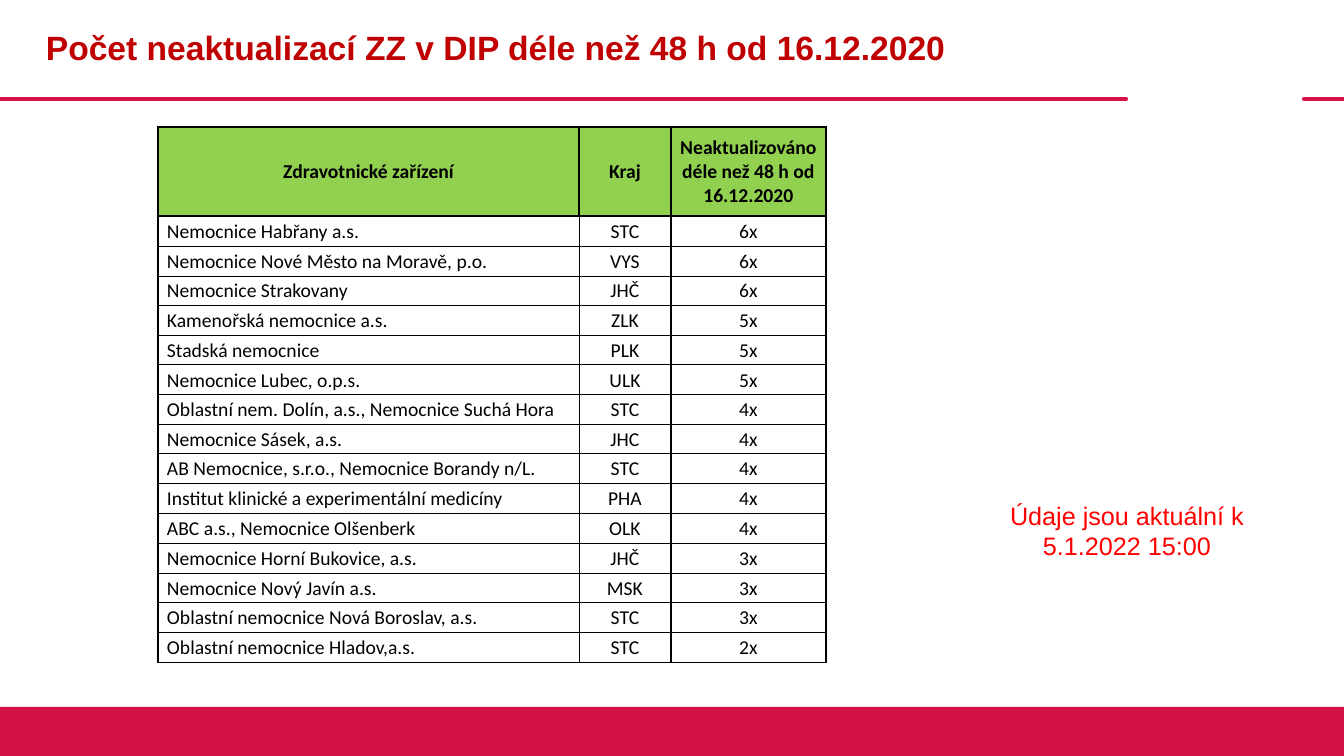
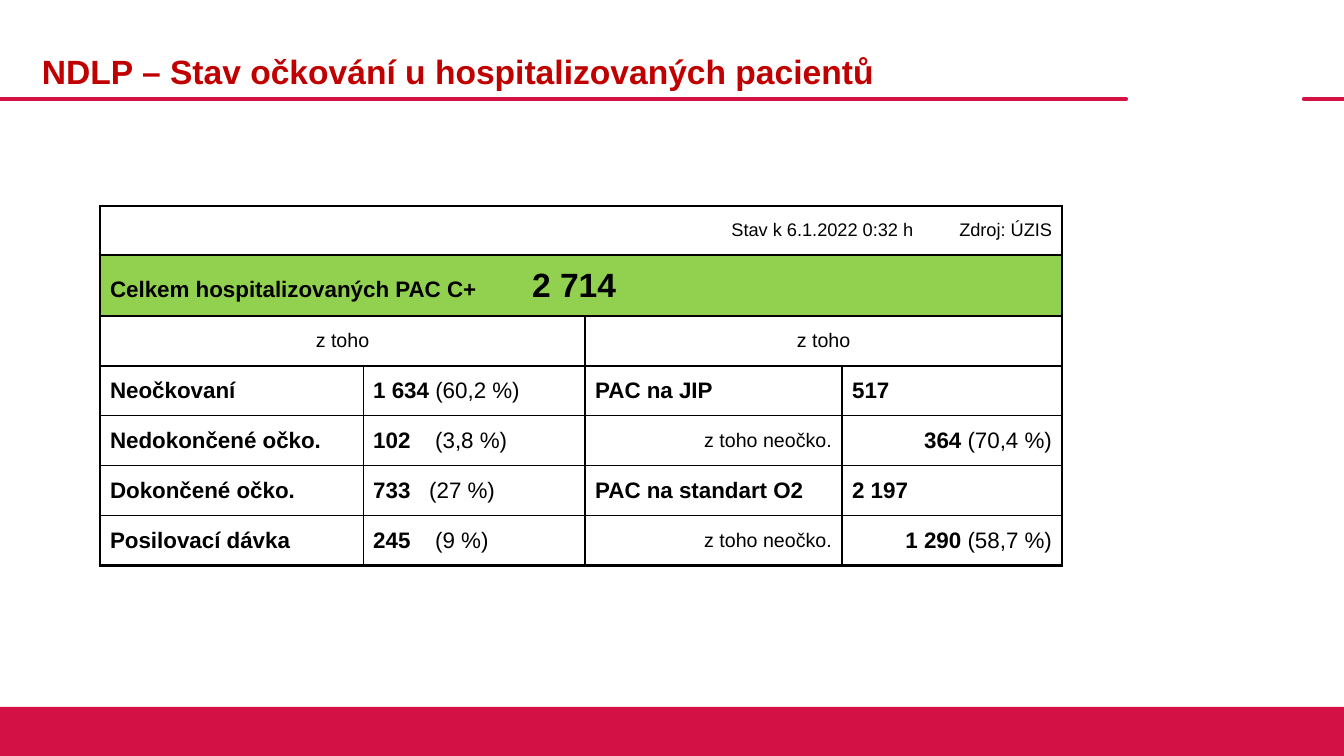
import dataclasses

import lxml.etree
import pptx
import pptx.dml.color
import pptx.enum.shapes
import pptx.enum.text
import pptx.oxml.ns
import pptx.util

PX = 914400 / 100.8
ALIGN = pptx.enum.text.PP_ALIGN
MIDDLE = pptx.enum.text.MSO_ANCHOR.MIDDLE
qn = pptx.oxml.ns.qn


@dataclasses.dataclass(frozen=True)
class Theme:
    band: str = "D31145"
    title: str = "C00000"
    note: str = "FF0000"
    ink: str = "000000"
    header: str = "92D050"
    font: str = "Arial"
    list_font: str = "Calibri"
    title_size: int = 24
    note_size: int = 18
    large: int = 16
    small: int = 14
    source_size: int = 13
    rule: float = 3
    hair: float = 0.5
    thin: float = 1
    thick: float = 2.25


theme = Theme()


def write(frame, runs, color, align=ALIGN.LEFT, font=theme.font, tab=0):
    """Fill the first paragraph with (text, size, bold) runs."""
    frame.word_wrap = True
    paragraph = frame.paragraphs[0]
    paragraph.alignment = align
    if tab:
        stops = lxml.etree.SubElement(paragraph._p.get_or_add_pPr(), qn("a:tabLst"))
        lxml.etree.SubElement(stops, qn("a:tab"), pos=str(round(tab * PX)), algn="l")
    for text, size, bold in runs:
        run = paragraph.add_run()
        run.text = text
        run.font.name = font
        run.font.size = pptx.util.Pt(size)
        run.font.bold = bold
        run.font.color.rgb = pptx.dml.color.RGBColor.from_string(color)
    return paragraph


def style_cell(cell, fill, left, right, top, bottom):
    """Set the fill and the border widths; a width of 0 means no line."""
    cell.vertical_anchor = MIDDLE
    if fill:
        cell.fill.solid()
        cell.fill.fore_color.rgb = pptx.dml.color.RGBColor.from_string(fill)
    else:
        cell.fill.background()
    properties = cell._tc.get_or_add_tcPr()
    sides = (("a:lnL", left), ("a:lnR", right), ("a:lnT", top), ("a:lnB", bottom))
    for position, (tag, width) in enumerate(sides):
        line = lxml.etree.Element(qn(tag), w=str(pptx.util.Pt(width)))
        if width:
            solid = lxml.etree.SubElement(line, qn("a:solidFill"))
            lxml.etree.SubElement(solid, qn("a:srgbClr"), val=theme.ink)
        else:
            lxml.etree.SubElement(line, qn("a:noFill"))
        properties.insert(position, line)


presentation = pptx.Presentation()
presentation.slide_width = round(1344 * PX)
presentation.slide_height = round(756 * PX)

# Shared frame: rules, footer band, title and an empty table
pages = [
    ("Počet neaktualizací ZZ v DIP déle než 48 h od 16.12.2020", 36, 0,
     158, 127, [421, 92, 155],
     [89] + [round(447 * (i + 1) / 15) - round(447 * i / 15) for i in range(15)]),
    ("NDLP – Stav očkování u hospitalizovaných pacientů", 32, 24,
     100, 206, [239, 16, 222, 257, 81, 139], [49, 61] + [50] * 5),
]
slides, tables = [], []
for title, title_left, title_top, left, top, widths, heights in pages:
    slide = presentation.slides.add_slide(presentation.slide_layouts[6])
    slides.append(slide)
    band_color = pptx.dml.color.RGBColor.from_string(theme.band)
    for start, end in ((0, 1126), (1304, 1344)):
        rule = slide.shapes.add_connector(
            pptx.enum.shapes.MSO_CONNECTOR.STRAIGHT,
            round(start * PX), round(99 * PX), round(end * PX), round(99 * PX))
        rule.line.color.rgb = band_color
        rule.line.width = pptx.util.Pt(theme.rule)
        shape_properties = rule._element.spPr
        shape_properties.find(qn("a:ln")).set("cap", "rnd")
        lxml.etree.SubElement(shape_properties, qn("a:effectLst"))
    footer = slide.shapes.add_shape(
        pptx.enum.shapes.MSO_SHAPE.RECTANGLE,
        0, round(707 * PX), round(1344 * PX), round(49 * PX))
    footer.shadow.inherit = False
    footer.fill.solid()
    footer.fill.fore_color.rgb = band_color
    footer.line.fill.background()

    title_box = slide.shapes.add_textbox(
        round(title_left * PX), round(title_top * PX), round(1090 * PX), round(99 * PX))
    title_box.text_frame.vertical_anchor = MIDDLE
    paragraph = write(title_box.text_frame, [(title, theme.title_size, True)], theme.title)
    paragraph.line_spacing = 0.9

    table = slide.shapes.add_table(
        len(heights), len(widths), round(left * PX), round(top * PX),
        round(sum(widths) * PX), round(sum(heights) * PX)).table
    table.first_row = False
    table.horz_banding = False
    for column, width in zip(table.columns, widths):
        column.width = round(width * PX)
    for row, height in zip(table.rows, heights):
        row.height = round(height * PX)
    tables.append(table)

# Slide 1: facilities with overdue updates
facilities = [
    ("Zdravotnické zařízení", "Kraj", "Neaktualizováno déle než 48 h od 16.12.2020"),
    ("Nemocnice Habřany a.s.", "STC", "6x"),
    ("Nemocnice Nové Město na Moravě, p.o.", "VYS", "6x"),
    ("Nemocnice Strakovany", "JHČ", "6x"),
    ("Kamenořská nemocnice a.s.", "ZLK", "5x"),
    ("Stadská nemocnice", "PLK", "5x"),
    ("Nemocnice Lubec, o.p.s.", "ULK", "5x"),
    ("Oblastní nem. Dolín, a.s., Nemocnice Suchá Hora", "STC", "4x"),
    ("Nemocnice Sásek, a.s.", "JHC", "4x"),
    ("AB Nemocnice, s.r.o., Nemocnice Borandy n/L.", "STC", "4x"),
    ("Institut klinické a experimentální medicíny", "PHA", "4x"),
    ("ABC a.s., Nemocnice Olšenberk", "OLK", "4x"),
    ("Nemocnice Horní Bukovice, a.s.", "JHČ", "3x"),
    ("Nemocnice Nový Javín a.s.", "MSK", "3x"),
    ("Oblastní nemocnice Nová Boroslav, a.s.", "STC", "3x"),
    ("Oblastní nemocnice Hladov,a.s.", "STC", "2x"),
]
verticals = [theme.thin, theme.hair, theme.thin, theme.thin]
last = len(facilities) - 1
for r, facility in enumerate(facilities):
    header = r == 0
    for c, text in enumerate(facility):
        cell = tables[0].cell(r, c)
        name = c == 0 and not header
        cell.margin_left = round((9 if name else 1) * PX)
        cell.margin_right = cell.margin_top = round(PX)
        cell.margin_bottom = 0
        write(cell.text_frame, [(text, theme.small, header)], theme.ink,
              ALIGN.LEFT if name else ALIGN.CENTER, theme.list_font)
        style_cell(cell, theme.header if header else None,
                   theme.thin if header else verticals[c],
                   theme.thin if header else verticals[c + 1],
                   theme.thin if r <= 1 else theme.hair,
                   theme.thin if r in (0, last) else theme.hair)

note = slides[0].shapes.add_textbox(
    round(982 * PX), round(495 * PX), round(290 * PX), round(71 * PX))
write(note.text_frame, [("Údaje jsou aktuální k 5.1.2022 15:00", theme.note_size, False)],
      theme.note, ALIGN.CENTER)

# Slide 2: each cell is (columns spanned, alignment, tab stop, runs)
LEFT, CENTER, RIGHT = ALIGN.LEFT, ALIGN.CENTER, ALIGN.RIGHT
of_which = (3, CENTER, 0, [("z toho", theme.small, False)])
unvaccinated = (1, RIGHT, 0, [("z toho neočko.", theme.small, False)])
summary = [
    [(1, LEFT, 0, []), (2, LEFT, 0, []),
     (2, RIGHT, 0, [("Stav k 6.1.2022 0:32 h", theme.source_size, False)]),
     (1, RIGHT, 0, [("Zdroj: ÚZIS", theme.source_size, False)])],
    [(6, LEFT, 422, [("Celkem hospitalizovaných PAC C+\t", theme.large, True),
                     ("2 714", theme.title_size, True)])],
    [of_which, of_which],
]
status = [
    ("Neočkovaní", "1 634 ", "(60,2 %)", 0),
    ("Nedokončené očko.", "102\t", "(3,8 %)", 62),
    ("Dokončené očko.", "733\t", "(27 %)", 56),
    ("Posilovací dávka", "245\t", "(9 %)", 62),
]
wards = [
    [(1, LEFT, 0, [("PAC na JIP", theme.large, True)]),
     (2, LEFT, 0, [("517", theme.large, True)])],
    [unvaccinated,
     (2, RIGHT, 0, [("364", theme.large, True), (" (70,4 %)", theme.large, False)])],
    [(1, LEFT, 0, [("PAC na standart O2", theme.large, True)]),
     (2, LEFT, 0, [("2 197", theme.large, True)])],
    [unvaccinated,
     (2, RIGHT, 0, [("1 290 ", theme.large, True), ("(58,7 %)", theme.large, False)])],
]
for (label, count, share, tab), ward in zip(status, wards):
    summary.append([
        (2, LEFT, 0, [(label, theme.large, True)]),
        (1, LEFT, tab, [(count, theme.large, True), (share, theme.large, False)]),
    ] + ward)

last = len(summary) - 1
for r, cells in enumerate(summary):
    inner = theme.thin if r else 0
    edges = {0: theme.thick, 3: theme.thick if r else 0, 6: theme.thick}
    first = 0
    for span, align, tab, runs in cells:
        end = first + span
        cell = tables[1].cell(r, first)
        if span > 1:
            cell.merge(tables[1].cell(r, end - 1))
        write(cell.text_frame, runs, theme.ink, align, tab=tab)
        for c in range(first, end):
            style_cell(tables[1].cell(r, c), theme.header if r == 1 else None,
                       edges.get(first, inner), edges.get(end, inner),
                       theme.thin if r else theme.thick,
                       theme.thick if r == last else theme.thin)
        first = end

presentation.save("out.pptx")
